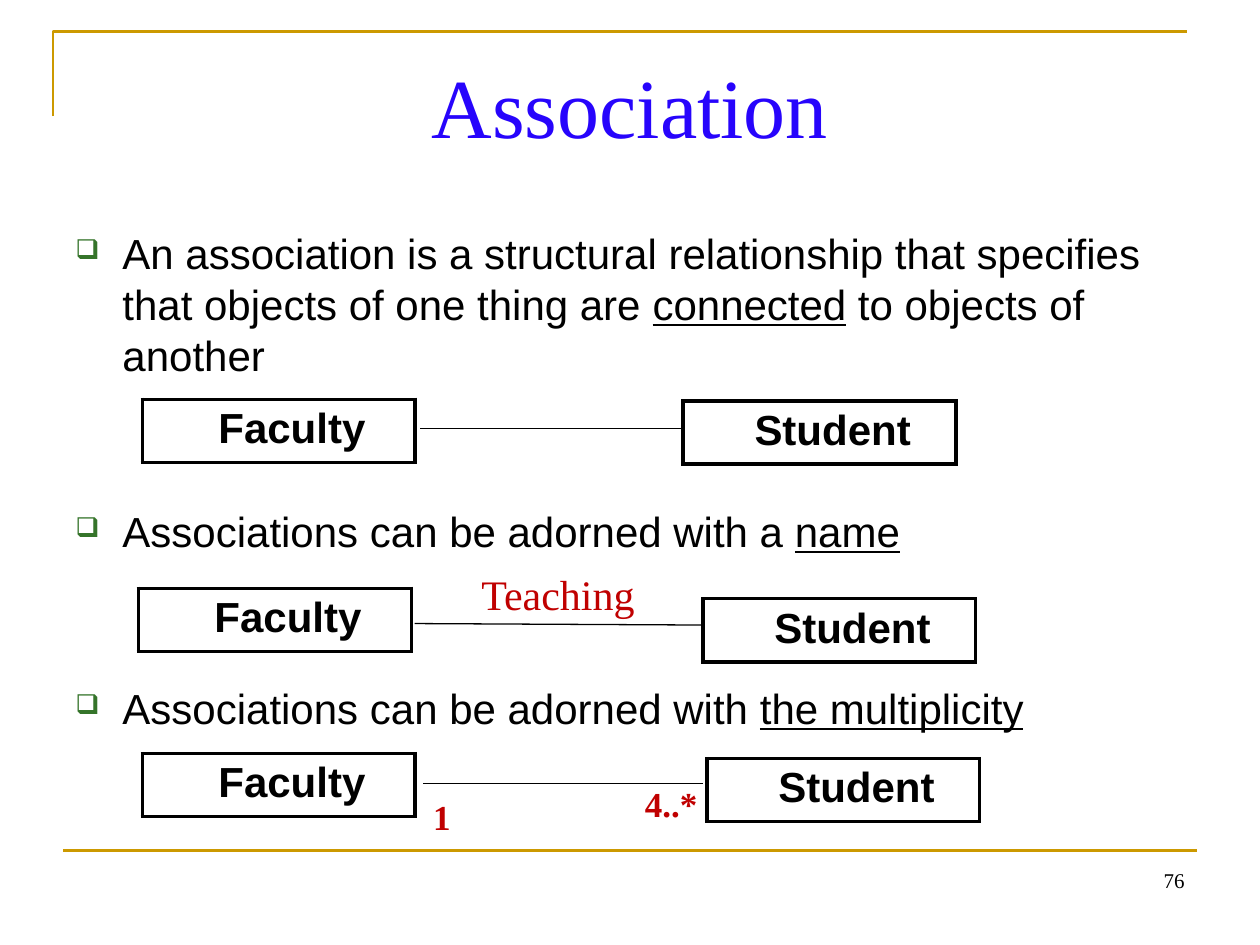
from lxml import etree
from pptx import Presentation
from pptx.dml.color import RGBColor
from pptx.enum.shapes import MSO_CONNECTOR as Connector
from pptx.enum.text import MSO_ANCHOR as Anchor, PP_ALIGN as Align
from pptx.oxml import parse_xml
from pptx.oxml.ns import nsdecls, qn
from pptx.util import Cm, Pt

COLORS = {"gold": "CC9900", "title": "2704FC", "text": "000000",
          "bullet": "35742A", "label": "C00000"}
SANS, SERIF = "Arial", "Times New Roman"

BULLETS = [
    [("An association is a structural relationship that specifies that "
      "objects of one thing are ", False),
     ("connected", True), (" to objects of another", False)],
    [("Associations can be adorned with a ", False), ("name", True)],
    [("Associations can be adorned with ", False), ("the multiplicity", True)],
]


def rgb(name):
    return RGBColor.from_string(COLORS[name])


def format_text(item, size=24, font=SANS, color="text", bold=False, underline=False):
    item.font.size = Pt(size)
    item.font.name = font
    item.font.bold = bold
    item.font.underline = underline
    item.font.color.rgb = rgb(color)


def add_text(slide, text, box, align=Align.LEFT, anchor=Anchor.TOP, wrap=True,
             margins=(0.25, 0.13), **style):
    """Add a text box; margins are (side, top and bottom) in cm."""
    shape = slide.shapes.add_textbox(*map(Cm, box))
    frame = shape.text_frame
    frame.word_wrap = wrap
    frame.vertical_anchor = anchor
    frame.margin_left = frame.margin_right = Cm(margins[0])
    frame.margin_top = frame.margin_bottom = Cm(margins[1])
    paragraph = frame.paragraphs[0]
    paragraph.alignment = align
    if text:
        run = paragraph.add_run()
        run.text = text
        format_text(run, **style)
    return frame


def add_line(slide, start, end, color="text", width=0.75):
    line = slide.shapes.add_connector(Connector.STRAIGHT, *map(Cm, start + end))
    line.line.color.rgb = rgb(color)
    line.line.width = Pt(width)
    etree.SubElement(line._element.spPr, qn("a:effectLst"))


def add_frame_lines(slide, left, top, width):
    # Corner at the top left
    builder = slide.shapes.build_freeform(Cm(left), Cm(top + 1.7))
    builder.add_line_segments(
        [(Cm(left), Cm(top)), (Cm(left + width), Cm(top))], close=False)
    corner = builder.convert_to_shape()
    corner.shadow.inherit = False
    corner.fill.background()
    corner.line.color.rgb = rgb("gold")
    corner.line.width = Pt(1.5)
    # Rule above the footer
    add_line(slide, (left + 0.2, 17.15), (left + 0.2 + width, 17.15), "gold", 1.5)


def add_bullets(slide, box):
    frame = add_text(slide, "", box)
    for index, parts in enumerate(BULLETS):
        paragraph = frame.add_paragraph() if index else frame.paragraphs[0]
        properties = paragraph._p.get_or_add_pPr()
        properties.set("marL", str(Cm(0.95)))
        properties.set("indent", str(-Cm(0.95)))
        color = etree.SubElement(properties, qn("a:buClr"))
        etree.SubElement(color, qn("a:srgbClr"), val=COLORS["bullet"])
        etree.SubElement(properties, qn("a:buSzPct"), val="65000")
        etree.SubElement(properties, qn("a:buChar"), char="❑")
        paragraph.line_spacing = Pt(29)
        if index:
            paragraph.space_before = Pt(72)  # leaves room for a diagram
        for text, underline in parts:
            run = paragraph.add_run()
            run.text = text
            format_text(run, underline=underline)


def add_class_box(slide, name, left, top, height):
    shape = slide.shapes.add_table(1, 1, Cm(left), Cm(top), Cm(5.5), Cm(height))
    table = shape.table
    table.first_row = table.horz_banding = False
    cell = table.cell(0, 0)
    # Borders come before the fill
    for side in ("lnL", "lnR", "lnT", "lnB"):
        cell._tc.get_or_add_tcPr().append(parse_xml(
            f'<a:{side} {nsdecls("a")} w="{Pt(2.25)}"><a:solidFill>'
            f'<a:srgbClr val="{COLORS["text"]}"/></a:solidFill></a:{side}>'))
    cell.fill.background()
    paragraph = cell.text_frame.paragraphs[0]
    paragraph.alignment = Align.CENTER
    paragraph._p.get_or_add_pPr().set("indent", str(Cm(0.53)))
    run = paragraph.add_run()
    run.text = name
    format_text(run, bold=True)


def add_association(slide, left, top, student, line, height=1.22):
    """Draw both classes and their line, as offsets from the left and top."""
    add_class_box(slide, "Faculty", left, top, height)
    add_class_box(slide, "Student", left + student[0], top + student[1], height)
    start, end = ((left + x, top + y) for x, y in line)
    add_line(slide, start, end)


def add_label(slide, text, box, **style):
    add_text(slide, text, box, anchor=Anchor.MIDDLE, wrap=False,
             margins=(0.2, 0.1), font=SERIF, color="label", **style)


def main():
    presentation = Presentation()
    presentation.slide_width, presentation.slide_height = Cm(25.4), Cm(19.05)
    slide = presentation.slides.add_slide(presentation.slide_layouts[6])

    add_frame_lines(slide, 1.07, 0.64, 22.86)
    add_text(slide, "Association", (1.27, 0.76, 22.86, 3.18), align=Align.CENTER,
             margins=(0.25, 0.33), size=48, font=SERIF, color="title")
    add_bullets(slide, (1.27, 4.45, 22.86, 12.57))

    # Plain, named and multiplicity associations
    add_association(slide, 2.87, 8.05, (10.9, 0.03), [(5.6, 0.59), (10.9, 0.59)])
    add_association(slide, 2.79, 11.86, (11.38, 0.21), [(5.57, 0.71), (11.38, 0.74)])
    add_association(slide, 2.87, 15.19, (11.38, 0.1), [(5.66, 0.61), (11.3, 0.61)],
                    height=1.27)
    add_label(slide, "Teaching", (9.47, 11.35, 3.56, 1.24), align=Align.CENTER)
    add_label(slide, "4..*", (12.8, 15.67, 1.5, 1.07), size=20, bold=True)
    add_label(slide, "1", (8.53, 15.93, 0.76, 1.07), size=20, bold=True)

    # Slide number
    add_text(slide, "76", (18.21, 17.35, 5.92, 1.32), align=Align.RIGHT,
             size=12, font=SERIF)
    presentation.save("out.pptx")


if __name__ == "__main__":
    main()
